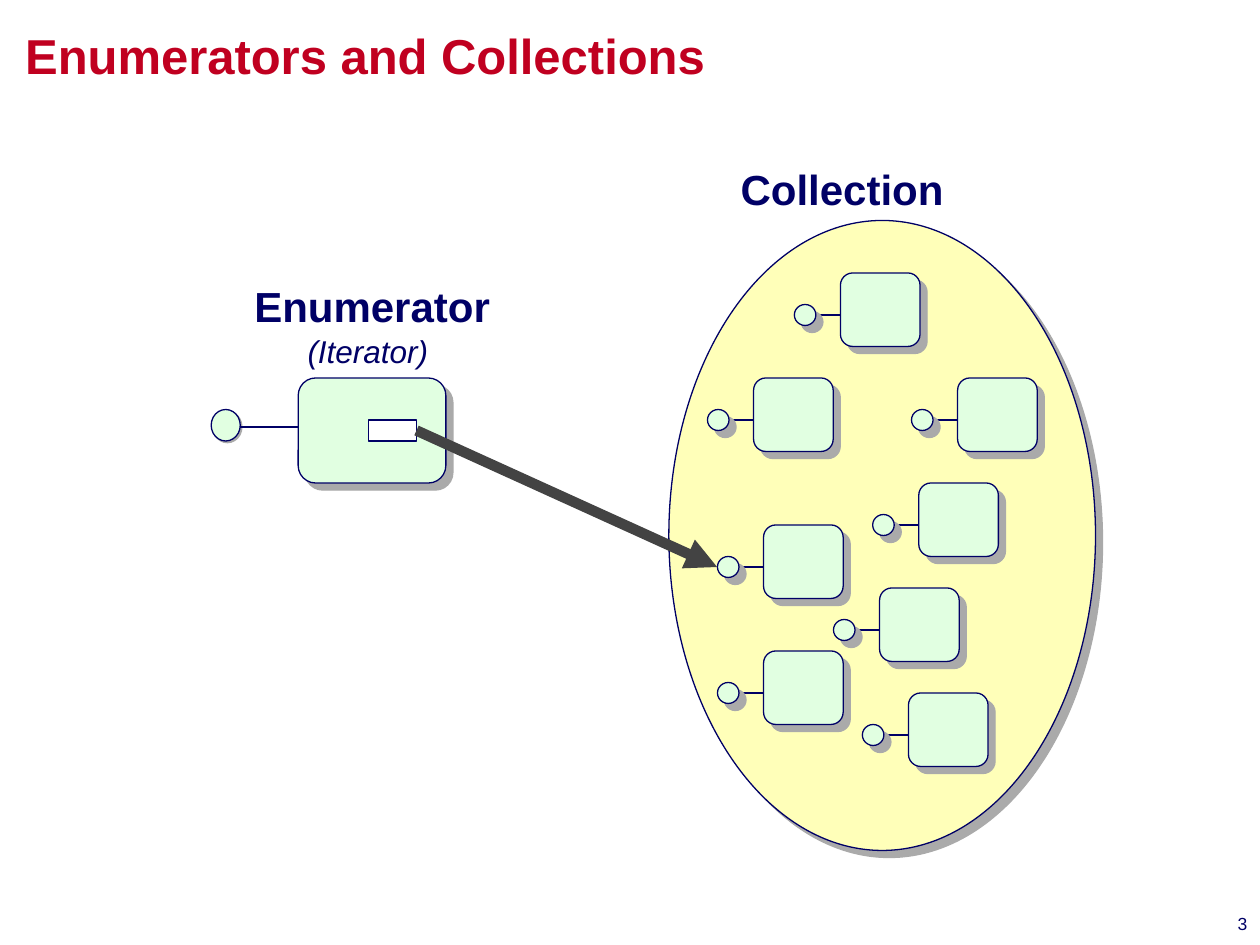
"""Build the slide that shows an enumerator pointing into a collection."""
import lxml.etree
import pptx
import pptx.dml.color
import pptx.enum.shapes
import pptx.enum.text
import pptx.oxml.ns
import pptx.util

COLOURS = {
    "title": "C00020",
    "ink": "000066",
    "collection": "FFFFB9",
    "object": "E1FFE1",
    "reference": "FFFFFF",
    "arrow": "434343",
    "shadow": "AAAAAA",
}
SHAPE = pptx.enum.shapes.MSO_SHAPE
ALIGN = pptx.enum.text.PP_ALIGN
ANCHOR = pptx.enum.text.MSO_ANCHOR
TITLE_ONLY = 5
SHADOW = 5.7
ITEMS = [
    (480.24, 156), (547.2, 216), (525, 276), (436.3, 300),
    (502.6, 336), (430.6, 216), (519.1, 396), (436.3, 372),
]


def points(*values):
    """Convert numbers to lengths in points."""
    return [pptx.util.Pt(value) for value in values]


def colour(name):
    """Look up a named colour."""
    return pptx.dml.color.RGBColor.from_string(COLOURS[name])


def add_element(parent, tag, **attributes):
    """Append a DrawingML element to a parent."""
    element = lxml.etree.SubElement(parent, pptx.oxml.ns.qn(tag))
    for key, value in attributes.items():
        element.set(key, str(value))
    return element


def add_figure(shapes, kind, box, fill, shadow=0):
    """Add an outlined shape, with a hard shadow if a distance is given."""
    shape = shapes.add_shape(kind, *points(*box))
    shape.fill.solid()
    shape.fill.fore_color.rgb = colour(fill)
    shape.line.color.rgb = colour("ink")
    shape.line.width = pptx.util.Pt(0.75)
    shape.shadow.inherit = False
    if shadow:
        effects = shape.element.spPr.find(pptx.oxml.ns.qn("a:effectLst"))
        outer = add_element(effects, "a:outerShdw", dist=int(pptx.util.Pt(shadow)),
                            dir=45 * 60000, algn="ctr", rotWithShape=0)
        add_element(outer, "a:srgbClr", val=COLOURS["shadow"])


def add_line(shapes, ends, name="ink", width=0.75, arrow=False):
    """Add a straight connector, with an arrowhead at its end if wanted."""
    line = shapes.add_connector(pptx.enum.shapes.MSO_CONNECTOR.STRAIGHT, *points(*ends))
    line.line.color.rgb = colour(name)
    line.line.width = pptx.util.Pt(width)
    if arrow:
        add_element(line.line._get_or_add_ln(), "a:tailEnd", type="triangle")
    add_element(line.element.spPr, "a:effectLst")


def add_item(slide, left, top):
    """Add one grouped collection item: stem, interface circle and body."""
    shapes = slide.shapes.add_group_shape().shapes
    add_line(shapes, (left - 15, top + 24, left + 1.5, top + 24))
    add_figure(shapes, SHAPE.OVAL, (left - 26.3, top + 18, 12.3, 12), "object", SHADOW)
    add_figure(shapes, SHAPE.FLOWCHART_ALTERNATE_PROCESS, (left, top, 45.5, 42), "object", SHADOW)


def format_text(shape, text, size, name, align, margins, bold=False, italic=False):
    """Set and format the single paragraph of a shape."""
    frame = shape.text_frame
    frame.text = text
    frame.auto_size = pptx.enum.text.MSO_AUTO_SIZE.NONE
    (frame.margin_left, frame.margin_top,
     frame.margin_right, frame.margin_bottom) = points(*margins)
    paragraph = frame.paragraphs[0]
    paragraph.alignment = align
    font = paragraph.runs[0].font
    font.name, font.size = "Arial", pptx.util.Pt(size)
    font.bold, font.italic = bold, italic
    font.color.rgb = colour(name)


def add_label(slide, text, box, size, **style):
    """Add a centred label that does not wrap."""
    label = slide.shapes.add_textbox(*points(*box))
    format_text(label, text, size, "ink", ALIGN.CENTER, (7.2, 3.6, 7.2, 3.6), **style)
    label.text_frame.word_wrap = False
    label.text_frame.vertical_anchor = ANCHOR.MIDDLE


def add_title(slide, text):
    """Place and format the title placeholder."""
    title = slide.shapes.title
    title.left, title.top, title.width, title.height = points(0, 0, 720, 72)
    format_text(title, text, 28, "title", ALIGN.LEFT, (14.4, 14.4, 141.8, 10.1), bold=True)
    title.text_frame.vertical_anchor = ANCHOR.TOP


def add_slide_number(slide, text):
    """Add the slide number at the lower right."""
    number = slide.shapes.add_textbox(*points(460.8, 518.4, 252, 12.24))
    format_text(number, text, 10, "ink", ALIGN.RIGHT, (0, 3.6, 0, 3.6))
    number.text_frame.word_wrap = True


def add_enumerator(slide):
    """Add the enumerator with its interface circle and reference field."""
    shapes = slide.shapes
    add_figure(shapes, SHAPE.OVAL, (120.7, 234, 16.6, 18), "object", 1.4)
    add_figure(shapes, SHAPE.FLOWCHART_ALTERNATE_PROCESS, (170.4, 216, 84.4, 60), "object", SHADOW)
    add_line(shapes, (137.3, 244, 170.4, 244))
    add_figure(shapes, SHAPE.RECTANGLE, (210.5, 240, 27.6, 12), "reference")


def main():
    """Build and save the presentation."""
    presentation = pptx.Presentation()
    presentation.slide_width, presentation.slide_height = points(720, 540)
    slide = presentation.slides.add_slide(presentation.slide_layouts[TITLE_ONLY])
    add_slide_number(slide, "3")
    add_title(slide, "Enumerators and Collections")
    add_figure(slide.shapes, SHAPE.OVAL, (382.2, 126, 243.8, 360), "collection", SHADOW)
    add_enumerator(slide)
    for left, top in ITEMS:
        add_item(slide, left, top)
    add_line(slide.shapes, (238, 246, 409.8, 324), "arrow", 6, arrow=True)
    add_label(slide, "Enumerator", (138.2, 156.6, 149, 36), 24, bold=True)
    add_label(slide, "Collection", (416, 90, 130.3, 36), 24, bold=True)
    add_label(slide, "(Iterator)", (168.5, 186, 83.5, 28.8), 18, italic=True)
    presentation.save("out.pptx")


if __name__ == "__main__":
    main()
